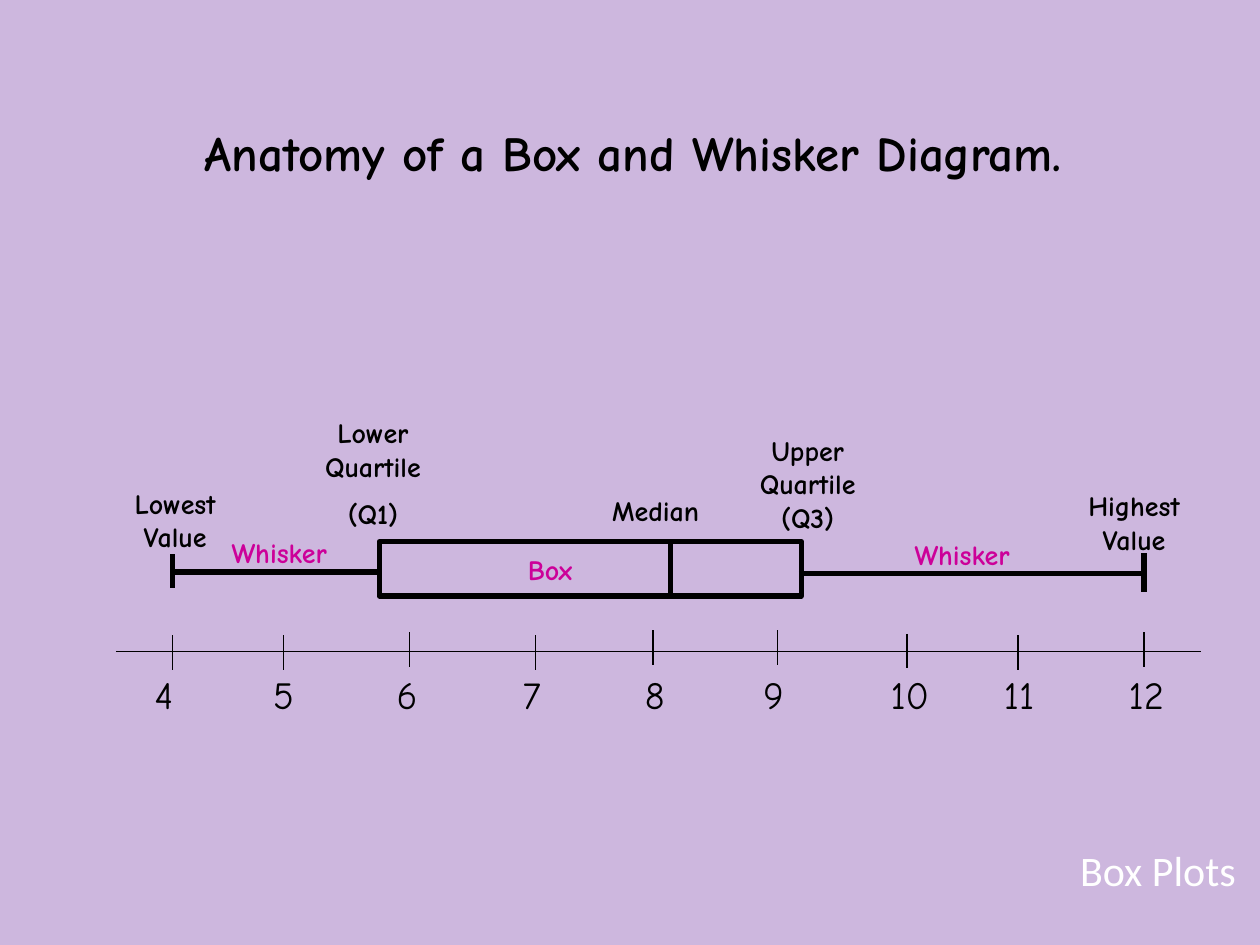
from dataclasses import dataclass
from lxml import etree
from pptx import Presentation
from pptx.dml.color import RGBColor
from pptx.enum import shapes, text
from pptx.oxml.ns import qn
from pptx.util import Inches, Pt


@dataclass(frozen=True)
class Theme:
    back: str = "CDB7DE"
    ink: str = "000000"
    pink: str = "CC0099"
    pale: str = "FFFFFF"
    hand: str = "Comic Neue"
    sans: str = "Calibri"
    head: int = 28
    foot: int = 24
    digit: int = 22
    label: int = 16
    thick: int = 3
    thin: int = 1


@dataclass
class Box:
    left: float
    top: float
    wide: float
    high: float

    def inner(self, x, y, w, h):
        return Box(self.left + x, self.top + y, w, h)

    def place(self):
        return [cell(n) for n in (self.left, self.top, self.wide, self.high)]


LOOK = Theme()
COLS, ROWS = 100, 75
MID, LEFT = text.PP_ALIGN.CENTER, text.PP_ALIGN.LEFT


def cell(n):
    return Inches(10 * n / COLS)


def hue(code):
    return RGBColor.from_string(code)


def write(page, box, lines, size, tint=LOOK.ink, face=LOOK.hand,
          bold=True, align=LEFT, grow=True):
    frame = page.shapes.add_textbox(*box.place()).text_frame
    frame.word_wrap = True
    if grow:
        frame.auto_size = text.MSO_AUTO_SIZE.SHAPE_TO_FIT_TEXT
    else:
        frame.vertical_anchor = text.MSO_ANCHOR.MIDDLE
    frame.text = "\n".join(lines)
    for i, para in enumerate(frame.paragraphs):
        para.alignment = align
        if i:
            para.space_before = Pt(size / 2)
        font = para.font
        font.name, font.size, font.bold = face, Pt(size), bold
        font.color.rgb = hue(tint)


def rule(page, box, x, y, w, h, width):
    a, b, c, d = box.inner(x, y, w, h).place()
    line = page.shapes.add_connector(
        shapes.MSO_CONNECTOR.STRAIGHT, a, b, a + c, b + d)
    line.line.color.rgb = hue(LOOK.ink)
    line.line.width = Pt(width)
    etree.SubElement(line._element.spPr, qn("a:effectLst"))


def head(page, box):
    write(page, box, ["Anatomy of a Box and Whisker Diagram."],
          LOOK.head, align=MID)


def plot(page, box):
    body = page.shapes.add_shape(
        shapes.MSO_SHAPE.RECTANGLE, *box.inner(21.8, 10.5, 33.5, 4.3).place())
    body.shadow.inherit = False
    body.fill.background()
    body.line.color.rgb = hue(LOOK.ink)
    body.line.width = Pt(LOOK.thick)

    for x, y, w, h in [(44.9, 10.3, 0, 4.3),
                       (5.4, 12.9, 16.4, 0), (5.4, 11.5, 0, 2.7),
                       (55.1, 13, 27.4, 0), (82.5, 11.4, 0, 3.1)]:
        rule(page, box, x, y, w, h, LOOK.thick)

    for x, y, h, lines in [(15.7, 0, 10.4, ["Lower Quartile", "(Q1)"]),
                           (50.2, 1.4, 9.1, ["Upper Quartile (Q3)"]),
                           (0, 5.6, 6.4, ["Lowest Value"]),
                           (76.1, 5.8, 6.4, ["Highest Value"])]:
        write(page, box.inner(x, y, 11.2, h), lines, LOOK.label, align=MID)

    for x, y, word, tint in [(39.3, 6.2, "Median", LOOK.ink),
                             (32.6, 10.9, "Box", LOOK.pink),
                             (63.3, 9.7, "Whisker", LOOK.pink),
                             (9.1, 9.5, "Whisker", LOOK.pink)]:
        write(page, box.inner(x, y, 11.2, 3.7), [word], LOOK.label, tint)


def axis(page, box):
    rule(page, box, 0, 1.7, box.wide, 0, LOOK.thin)
    marks = [(4.5, 0.4, 2.1), (13.3, 0.4, 11.5), (23.3, 0.2, 21.3),
             (33.3, 0.4, 31.3), (42.6, 0, 41), (52.5, 0, 50.4),
             (62.8, 0.3, 60.5), (71.6, 0.4, 69.5), (81.6, 0.2, 79.4)]
    for num, (x, y, left) in enumerate(marks, 4):
        rule(page, box, x, y, 0, 2.75, LOOK.thin)
        wide = 6.7 if num < 10 else 10.7
        write(page, box.inner(left, 2.8, wide, 4.7), [str(num)],
              LOOK.digit, bold=False)


def foot(page, box):
    write(page, box, ["Box Plots"], LOOK.foot, LOOK.pale, LOOK.sans,
          bold=False, align=MID, grow=False)


def main():
    deck = Presentation()
    deck.slide_width, deck.slide_height = cell(COLS), cell(ROWS)
    page = deck.slides.add_slide(deck.slide_layouts[6])
    fill = page.background.fill
    fill.solid()
    fill.fore_color.rgb = hue(LOOK.back)
    plot(page, Box(8.3, 32.5, 87.3, 14.8))
    head(page, Box(10.7, 9.2, 79.1, 10.4))
    foot(page, Box(83.8, 65.6, 16.2, 6.9))
    axis(page, Box(9.2, 50, 86.1, 7.5))
    deck.save("out.pptx")


if __name__ == "__main__":
    main()
